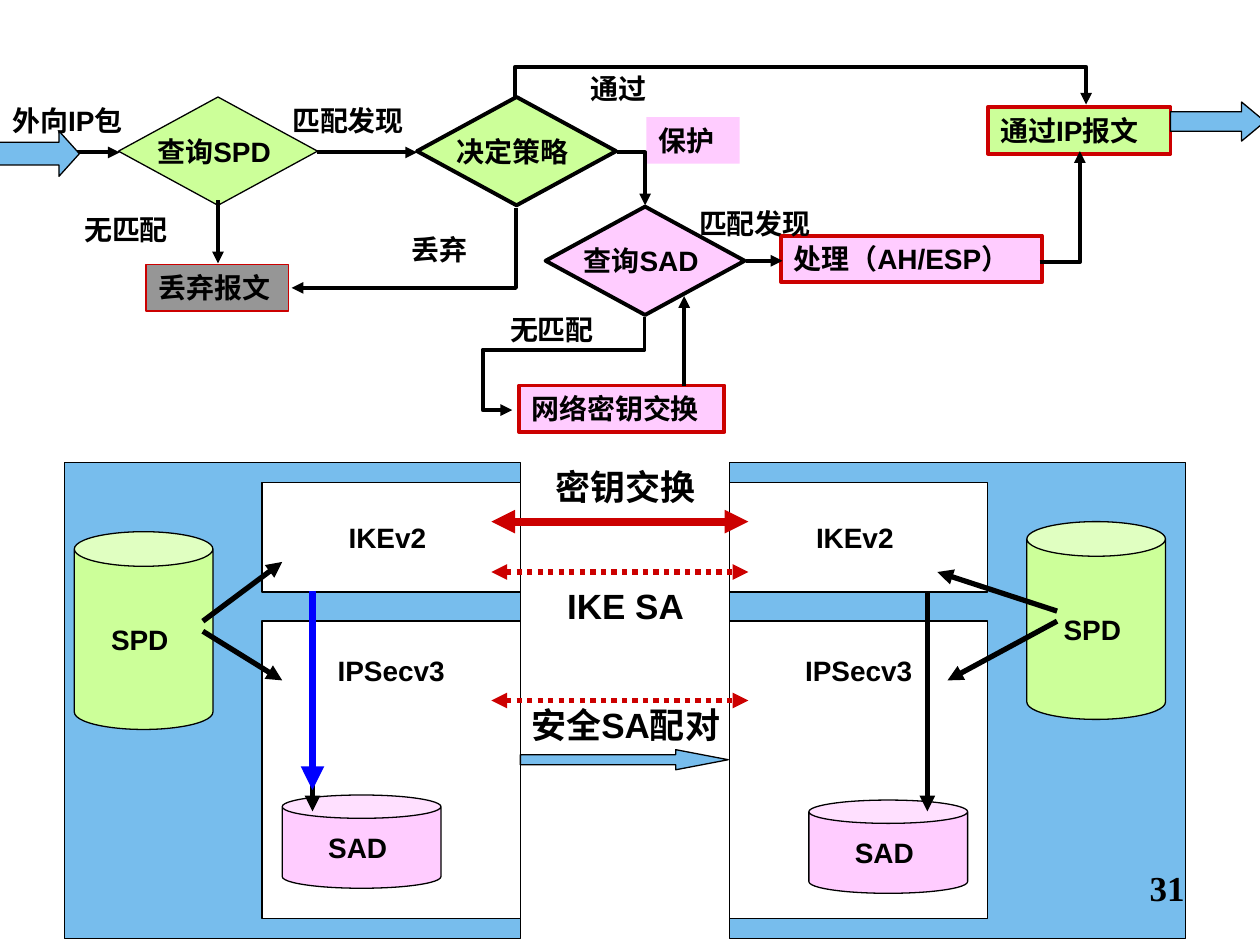
from pptx import Presentation
from pptx.dml.color import RGBColor
from pptx.enum.dml import MSO_LINE
from pptx.enum.shapes import MSO_CONNECTOR, MSO_SHAPE
from pptx.enum.text import MSO_ANCHOR, PP_ALIGN
from pptx.oxml.ns import qn
from pptx.util import Inches, Pt
from lxml import etree

BLACK = RGBColor(0x00, 0x00, 0x00)
WHITE = RGBColor(0xFF, 0xFF, 0xFF)
RED = RGBColor(0xCC, 0x00, 0x00)
BLUE = RGBColor(0x00, 0x00, 0xFF)
SKY = RGBColor(0x77, 0xBD, 0xED)
GREEN = RGBColor(0xCC, 0xFF, 0x99)
PINK = RGBColor(0xFF, 0xCC, 0xFF)
GRAY = RGBColor(0x96, 0x96, 0x96)

CENTERED = {"word_wrap": False, "vertical_anchor": MSO_ANCHOR.MIDDLE, "margin_right": Inches(0.16)}
HEADED = {"word_wrap": False, "vertical_anchor": MSO_ANCHOR.TOP, "margin_top": Inches(0.26)}
LEFT = {"word_wrap": True, "vertical_anchor": MSO_ANCHOR.TOP}

presentation = Presentation()
presentation.slide_width, presentation.slide_height = Inches(10), Inches(7.5)
slide = presentation.slides.add_slide(presentation.slide_layouts[6])


def add_box(kind, at, text="", fill=None, line=None, width=0.75, frame=CENTERED,
            align=PP_ALIGN.CENTER, size=16, font="Arial", spacing=None):
    """Add a preset shape, or a text box when kind is None; one paragraph per text line."""
    place = [Inches(value) for value in at]
    if kind is None:
        shape = slide.shapes.add_textbox(*place)
    else:
        shape = slide.shapes.add_shape(kind, *place)
        shape.shadow.inherit = False
        shape.fill.solid()
        shape.fill.fore_color.rgb = fill
        if line is None:
            shape.line.fill.background()
        else:
            shape.line.color.rgb = line
            shape.line.width = Pt(width)
    if text:
        for name, value in frame.items():
            setattr(shape.text_frame, name, value)
        shape.text_frame.text = text
    for index, paragraph in enumerate(shape.text_frame.paragraphs if text else []):
        paragraph.alignment = align
        if spacing:
            paragraph.line_spacing = Pt(28)
            paragraph.space_before = Pt(spacing if index else 0)
        for name, value in {"name": font, "size": Pt(size), "bold": True}.items():
            setattr(paragraph.font, name, value)
        paragraph.font.color.rgb = BLACK
    return shape


def add_arrow(start, end, color=BLACK, width=2.25, both=False, kind=MSO_CONNECTOR.STRAIGHT):
    connector = slide.shapes.add_connector(kind, *(Inches(value) for value in (*start, *end)))
    connector.line.color.rgb = color
    connector.line.width = Pt(width)
    line = connector.line._get_or_add_ln()
    for tag in ("a:headEnd", "a:tailEnd") if both else ("a:tailEnd",):
        etree.SubElement(line, qn(tag), type="triangle")
    etree.SubElement(connector.element.spPr, qn("a:effectLst"))
    return connector


add_box(None, (3.19, 3.59, 3.55, 2.5), "密钥交换\nIKE SA\n安全SA配对", size=20, spacing=40,
        frame={"word_wrap": True})

# Two hosts: panel left, SPD place, SAD place, x of the IKE arrow, SPD arrows
hosts = [
    (0.51, 2.08, (0.59, 4.22), (2.24, 6.31), 2.48,
     [((1.61, 5.01), (2.24, 5.4)), ((1.61, 4.93), (2.24, 4.46))]),
    (5.79, 5.79, (8.15, 4.14), (6.42, 6.35), 7.36,
     [((8.39, 4.93), (7.52, 5.4)), ((8.39, 4.85), (7.44, 4.54))]),
]
for panel_left, module_left, spd, sad, ike_x, spd_arrows in hosts:
    add_box(MSO_SHAPE.RECTANGLE, (panel_left, 3.67, 3.62, 3.78), fill=SKY, line=BLACK)
    add_box(MSO_SHAPE.CAN, (*spd, 1.1, 1.57), "SPD", GREEN, BLACK)
    add_box(MSO_SHAPE.RECTANGLE, (module_left, 4.93, 2.05, 2.36), "IPSecv3", WHITE, BLACK,
            frame=HEADED)
    add_box(MSO_SHAPE.CAN, (*sad, 1.26, 0.74), "SAD", PINK, BLACK)
    add_box(MSO_SHAPE.RECTANGLE, (module_left, 3.83, 2.05, 0.87), "IKEv2", WHITE, BLACK)
    for start, end in [((ike_x, 4.7), (ike_x, 6.44)), *spd_arrows]:
        add_arrow(start, end, width=3)
add_arrow((2.48, 4.69), (2.48, 6.27), BLUE, 4.5)

# Exchanges between the hosts
for y, width, dash in [(4.14, 4.5, None), (4.54, 3, MSO_LINE.ROUND_DOT), (5.56, 3, MSO_LINE.ROUND_DOT)]:
    exchange = add_arrow((3.9, y), (5.94, y), RED, width, both=True)
    if dash:
        exchange.line.dash_style = dash

# Flow chart
for left, top, text, fill, width in [
    (0.94, 0.77, "查询SPD", GREEN, 0.75),
    (3.31, 0.77, "决定策略", GREEN, 2.25),
    (4.33, 1.64, "查询SAD", PINK, 2.25),
]:
    add_box(MSO_SHAPE.DIAMOND, (left, top, 1.58, 0.86), text, fill, BLACK, width)

for left, top, box_width, text, fill, line, width in [
    (1.16, 2.1, 1.13, "丢弃报文", GRAY, RED, 0.75),
    (7.84, 0.85, 1.45, "通过IP报文", GREEN, RED, 2.25),
    (5.13, 0.93, 0.74, "保护", PINK, None, 0),
    (6.2, 1.87, 2.07, "处理（AH/ESP）", PINK, RED, 2.25),
    (4.12, 3.06, 1.63, "网络密钥交换", PINK, RED, 2.25),
]:
    add_box(MSO_SHAPE.RECTANGLE, (left, top, box_width, 0.37), text, fill, line, width,
            frame=LEFT, align=PP_ALIGN.LEFT)

for start, end in [
    ((0.16, 1.21), (0.95, 1.21)),
    ((1.73, 1.59), (1.73, 2.09)),
    ((2.52, 1.21), (3.31, 1.21)),
    ((5.92, 2.07), (6.21, 2.07)),
    ((5.43, 3.06), (5.43, 2.35)),
]:
    add_arrow(start, end)

# Elbows: corners before rotation, rotation, preset, adjustments
for start, end, rotation, preset, adjustments in [
    ((6.38, -1.46), (6.33, 3.07), 270, "bentConnector3", [-500000]),
    ((4.9, 1.21), (5.12, 1.63), 0, "bentConnector2", []),
    ((2.89, 1.08), (3.52, 2.86), 90, "bentConnector2", []),
    ((8.25, 2.08), (8.57, 1.2), 0, "bentConnector2", []),
    ((4.22, 2.36), (4.96, 3.41), 90, "bentConnector4", [35300, 122300]),
]:
    elbow = add_arrow(start, end, kind=MSO_CONNECTOR.ELBOW)
    elbow.element.spPr.xfrm.rot = rotation
    geometry = elbow.element.spPr.find(qn("a:prstGeom"))
    geometry.set("prst", preset)
    guides = geometry.find(qn("a:avLst"))
    if guides is None:
        guides = etree.SubElement(geometry, qn("a:avLst"))
    for number, value in enumerate(adjustments, 1):
        etree.SubElement(guides, qn("a:gd"), name=f"adj{number}", fmla=f"val {value}")

for left, top, width, text in [
    (0, 0.77, 1.23, "外向IP包"),
    (0.57, 1.64, 0.96, "无匹配"),
    (2.22, 0.77, 1.19, "匹配发现"),
    (4.59, 0.52, 0.69, "通过"),
    (3.17, 1.8, 0.79, "丢弃"),
    (5.45, 1.59, 1.13, "匹配发现"),
    (3.95, 2.43, 0.96, "无匹配"),
]:
    add_box(None, (left, top, width, 0.37), text, frame=LEFT, align=PP_ALIGN.LEFT)

for at, head in [
    ((9.29, 0.81, 0.75, 0.31), 0.6),
    ((-0.02, 1.04, 0.65, 0.36), 0.45),
    ((4.13, 5.95, 1.65, 0.16), 2.61),
]:
    block_arrow = add_box(MSO_SHAPE.RIGHT_ARROW, at, fill=SKY, line=BLACK)
    block_arrow.adjustments[1] = head

add_box(None, (7.17, 6.83, 2.33, 0.52), "31", frame=LEFT, align=PP_ALIGN.RIGHT, size=20,
        font="Times New Roman")

presentation.save("out.pptx")
